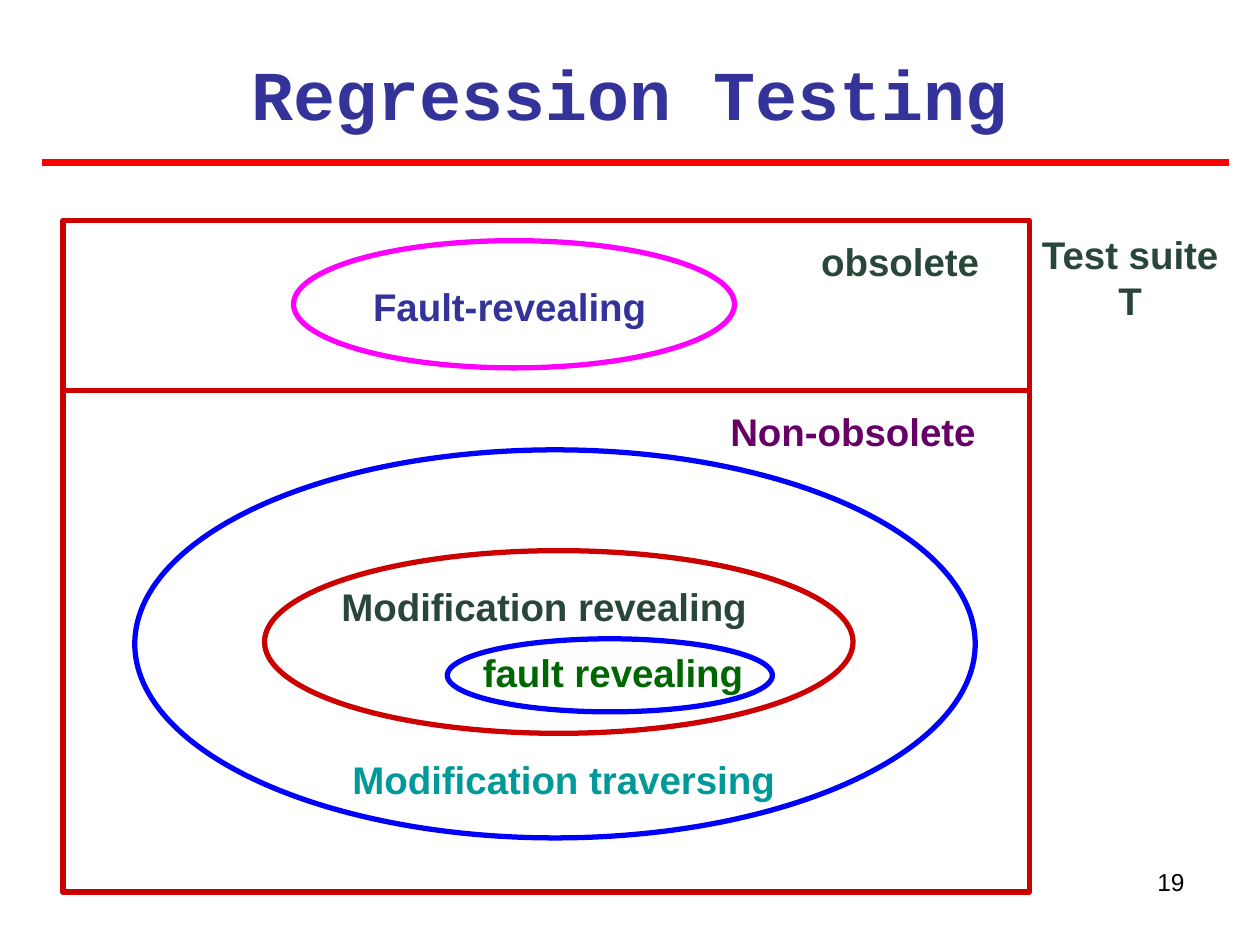
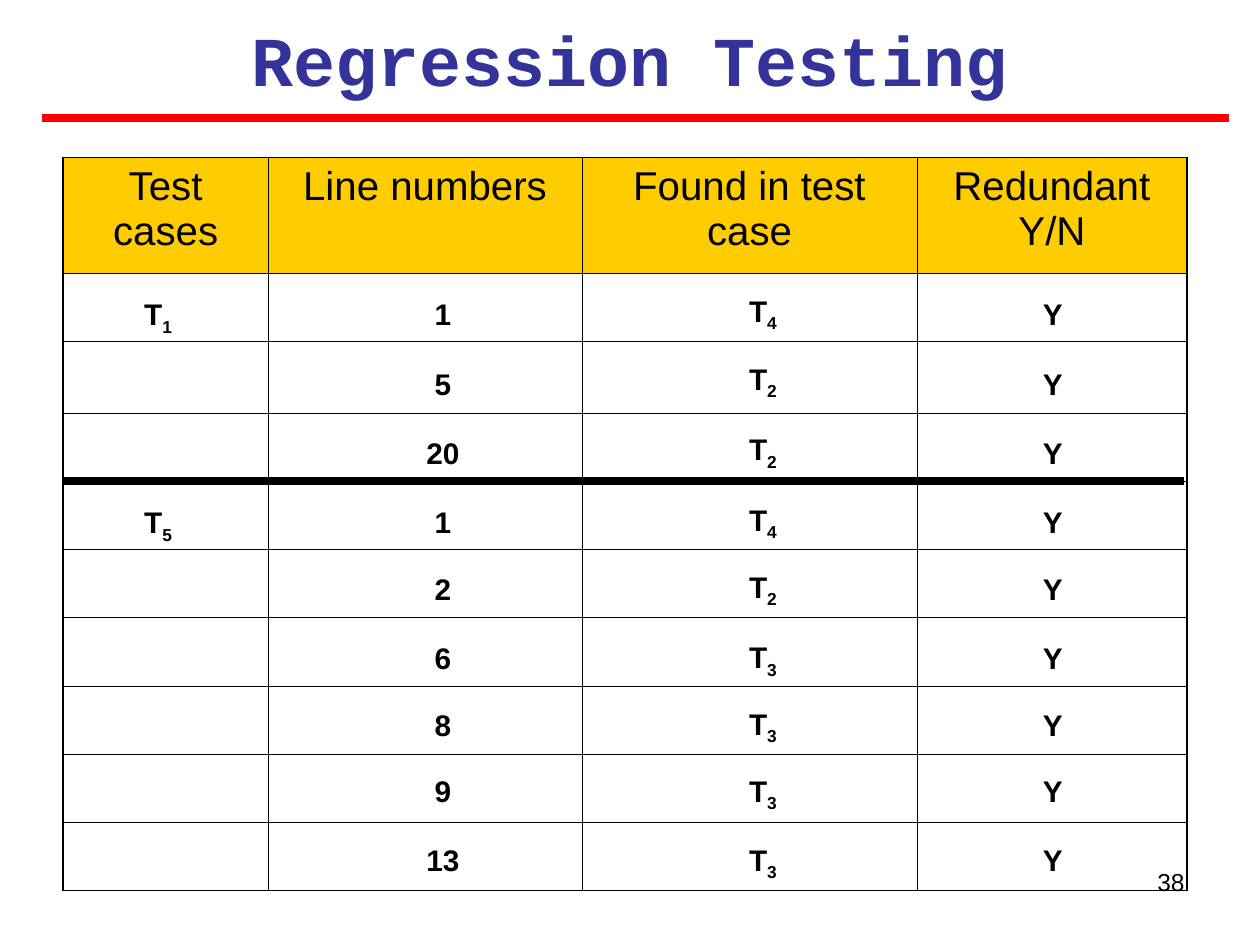
"""Build two regression testing slides: a test suite diagram and a redundancy table."""
import pptx
import pptx.dml.color
import pptx.enum.shapes
import pptx.enum.text
import pptx.oxml.ns
import pptx.util
from lxml import etree

Inches = pptx.util.Inches
Pt = pptx.util.Pt
qn = pptx.oxml.ns.qn
SHAPE = pptx.enum.shapes.MSO_SHAPE
ALIGN = pptx.enum.text.PP_ALIGN
BLUE, RED, DARK_RED = "0000FF", "FF0000", "CC0000"
INDIGO, DARK_GREEN, BLACK, GOLD = "333399", "294739", "000000", "FFCC00"


def rgb(hex_code):
    return pptx.dml.color.RGBColor.from_string(hex_code)


def add_text(s, box, runs, size, color, font="Arial", bold=True, inset=True, align=ALIGN.CENTER):
    tf = s.shapes.add_textbox(*map(Inches, box)).text_frame
    tf.word_wrap = True
    if not inset:
        tf.margin_left = tf.margin_right = tf.margin_top = tf.margin_bottom = 0
    p = tf.paragraphs[0]
    p.alignment = align
    for i, text in enumerate(runs):
        r = p.add_run()
        r.text = text
        r.font.name, r.font.size, r.font.bold = font, Pt(size), bold
        r.font.color.rgb = rgb(color)
        if i:
            r.font._element.set("baseline", "-25000")


prs = pptx.Presentation()
prs.slide_width, prs.slide_height = Inches(10), Inches(7.5)
suite, redundancy = [prs.slides.add_slide(prs.slide_layouts[6]) for _ in range(2)]

regions = [
    (SHAPE.RECTANGLE, (0.5, 1.75, 7.67, 5.33), DARK_RED),
    (SHAPE.OVAL, (2.33, 1.91, 3.5, 1.01), "FF00FF"),
    (SHAPE.OVAL, (1.07, 3.57, 6.67, 3.08), BLUE),
    (SHAPE.OVAL, (2.1, 4.37, 4.67, 1.45), DARK_RED),
    (SHAPE.OVAL, (3.55, 5.07, 2.58, 0.58), BLUE),
]
for kind, box, color in regions:
    sp = suite.shapes.add_shape(kind, *map(Inches, box))
    sp.shadow.inherit = False
    sp.fill.background()
    sp.line.color.rgb = rgb(color)
    sp.line.width = Pt(3)

labels = [
    ("Fault-revealing", (2.42, 2.2, 3.25, 0.47), INDIGO, True),
    ("obsolete", (6.28, 1.89, 1.73, 0.37), DARK_GREEN, False),
    ("Non-obsolete", (5.52, 3.24, 2.5, 0.37), "660066", False),
    ("Test suite T", (8.26, 1.83, 1.42, 0.73), DARK_GREEN, False),
    ("Modification revealing", (2.42, 4.58, 3.8, 0.47), DARK_GREEN, True),
    ("fault revealing", (3.59, 5.1, 2.55, 0.47), "006600", True),
    ("Modification traversing", (2.58, 5.95, 3.79, 0.47), "009999", True),
]
for text, box, color, inset in labels:
    add_text(suite, box, [text], 22, color, inset=inset)

headers = ["Test cases", "Line numbers", "Found in test case", "Redundant Y/N"]
col_widths = [1.63, 2.49, 2.66, 2.14]
row_heights = [0.92, 0.54, 0.57, 0.54, 0.54, 0.54, 0.55, 0.54, 0.54, 0.54]
last_row, last_col = len(row_heights) - 1, len(col_widths) - 1
table = redundancy.shapes.add_table(
    len(row_heights), len(col_widths), Inches(0.5), Inches(1.25), Inches(8.92), Inches(5.81)
).table
table.first_row = table.horz_banding = False
for column, width in zip(table.columns, col_widths):
    column.width = Inches(width)
for row, height in zip(table.rows, row_heights):
    row.height = Inches(height)

for i, row in enumerate(table.rows):
    for j, cell in enumerate(row.cells):
        tcPr = cell._tc.get_or_add_tcPr()
        edges = {"L": j == 0, "R": j == last_col, "T": i == 0, "B": i == last_row}
        for side, outer in edges.items():
            width = Pt(1.08 if outer else 0.45)
            ln = etree.SubElement(tcPr, qn(f"a:ln{side}"), w=str(width))
            fill = etree.SubElement(ln, qn("a:solidFill"))
            etree.SubElement(fill, qn("a:srgbClr"), val=BLACK)
        if i:
            cell.fill.background()
            continue
        cell.fill.solid()
        cell.fill.fore_color.rgb = rgb(GOLD)
        p = cell.text_frame.paragraphs[0]
        p.alignment = ALIGN.CENTER
        r = p.add_run()
        r.text = headers[j]
        r.font.name, r.font.size = "Arial", Pt(23)
        r.font.color.rgb = rgb(BLACK)

results = [
    (2.35, "T1", "1", 2.32, "T4"),
    (2.9, "", "5", 2.86, "T2"),
    (3.45, "", "20", 3.42, "T2"),
    (4, "T5", "1", 3.98, "T4"),
    (4.53, "", "2", 4.51, "T2"),
    (5.08, "", "6", 5.07, "T3"),
    (5.61, "", "8", 5.6, "T3"),
    (6.13, "", "9", 6.13, "T3"),
    (6.68, "", "13", 6.68, "T3"),
]
for top, test_case, line_number, found_top, found_in in results:
    if test_case:
        add_text(redundancy, (0.92, top, 0.67, 0.32), test_case, 17, BLACK, inset=False)
    add_text(redundancy, (3.18, top, 0.67, 0.28), [line_number], 17, BLACK, inset=False)
    add_text(redundancy, (5.52, found_top, 1.07, 0.32), found_in, 17, BLACK, inset=False)
    add_text(redundancy, (8.02, top, 0.67, 0.28), ["Y"], 17, BLACK, inset=False)

frames = [
    (suite, 0.35, "19", [(0.33, 9.75, 1.29, RED, 4.5), (0.5, 8.17, 3.1, DARK_RED, 3)]),
    (redundancy, 0.08, "38", [(0.33, 9.75, 0.94, RED, 4.5), (0.49, 9.4, 3.82, BLACK, 4.5)]),
]
for s, title_top, number, rules in frames:
    for left, right, y, color, width in rules:
        rule = s.shapes.add_connector(
            pptx.enum.shapes.MSO_CONNECTOR.STRAIGHT, Inches(left), Inches(y), Inches(right), Inches(y)
        )
        rule.line.color.rgb = rgb(color)
        rule.line.width = Pt(width)
        etree.SubElement(rule._element.spPr, qn("a:effectLst"))
    add_text(s, (0.33, title_top, 9.33, 0.77), ["Regression Testing"], 40, INDIGO, "Courier New")
    add_text(s, (7.17, 6.83, 2.33, 0.52), [number], 14, BLACK, bold=False, align=ALIGN.RIGHT)

prs.save("out.pptx")
